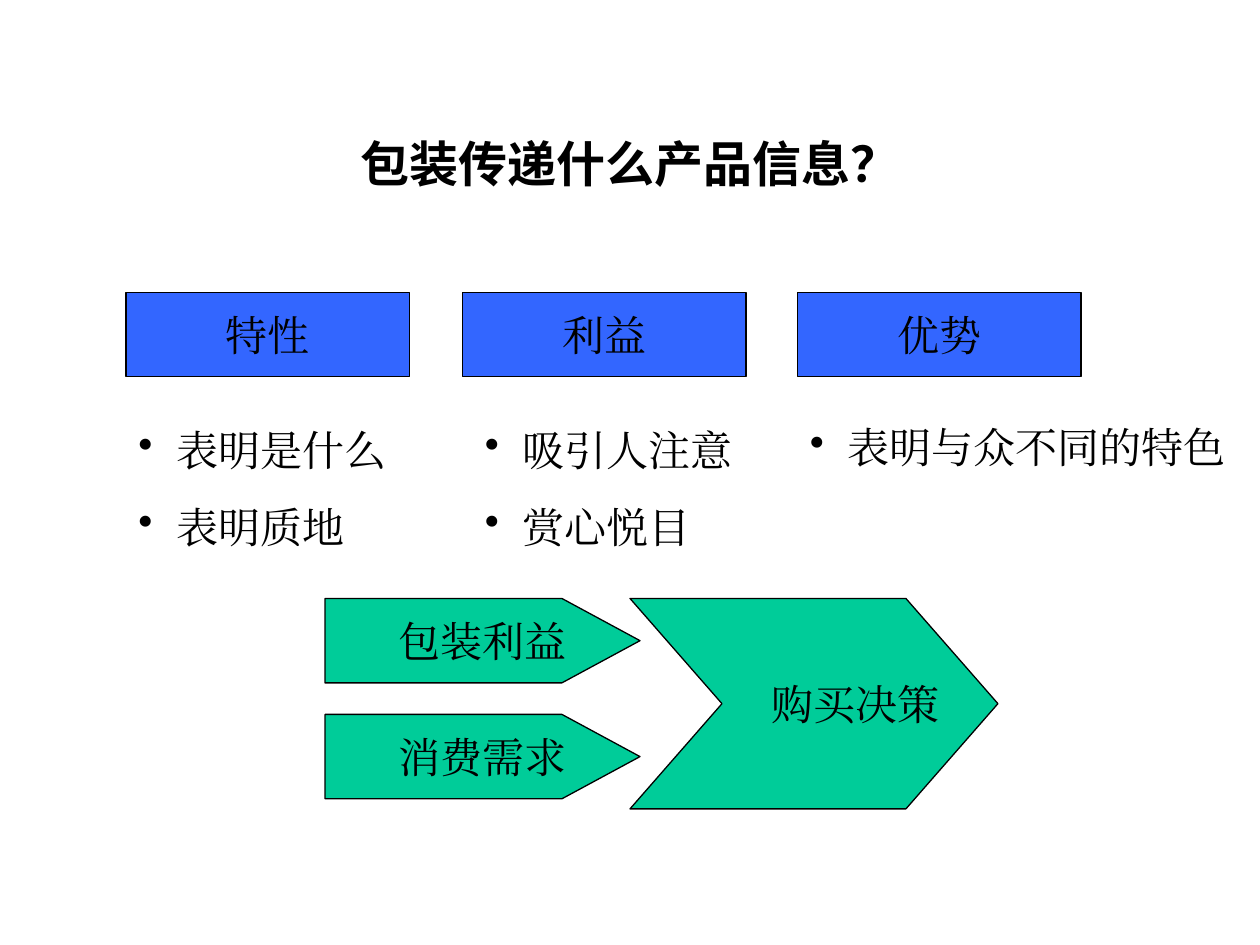
from dataclasses import dataclass

from lxml import etree
from pptx import Presentation
from pptx import util as u
from pptx.dml import color
from pptx.enum import shapes, text
from pptx.oxml import ns

BODY_FONT = "Times New Roman"
TITLE_FONT = "Noto Sans CJK SC"
BLACK, BLUE, GREEN = "000000", "3366FF", "00CC99"
COLUMN_WIDTH, BAR_HEIGHT = 2.25, 0.67
BULLET_INDENT = 0.3


@dataclass
class Column:
    heading: str
    left: float
    points: list[str]
    list_left: float
    list_top: float
    list_width: float = COLUMN_WIDTH


@dataclass
class Arrow:
    label: str
    left: float
    top: float
    width: float
    height: float
    tip: float
    notch: float = 0
    left_inset: float = 0.1


COLUMNS = [
    Column("特性", 1, ["表明是什么", "表明质地"], 1, 3.32),
    Column("利益", 3.67, ["吸引人注意", "赏心悦目"], 3.75, 3.32),
    Column("优势", 6.33, ["表明与众不同的特色"], 6.33, 3.3, 3.58),
]
ARROWS = [
    Arrow("包装利益", 2.58, 4.75, 2.5, BAR_HEIGHT, 0.62),
    Arrow("消费需求", 2.58, 5.67, 2.5, BAR_HEIGHT, 0.62),
    Arrow("购买决策", 5, 4.75, 2.92, 1.67, 0.73, 0.73, 0.75),
]


def rgb(value: str) -> color.RGBColor:
    return color.RGBColor.from_string(value)


def style_paragraph(para, size: float = 24, font: str = BODY_FONT, bold: bool = False) -> None:
    for span in para.runs:
        span.font.size = u.Pt(size)
        span.font.name = font
        span.font.bold = bold
        span.font.color.rgb = rgb(BLACK)
        east_asian = etree.SubElement(span.font._element, ns.qn("a:ea"))
        east_asian.set("typeface", font)


def fill_label(box, label: str, fill: str) -> None:
    box.shadow.inherit = False
    box.fill.solid()
    box.fill.fore_color.rgb = rgb(fill)
    box.line.color.rgb = rgb(BLACK)
    box.line.width = u.Pt(0.75)
    frame = box.text_frame
    frame.text = label
    frame.word_wrap = False
    frame.vertical_anchor = text.MSO_ANCHOR.MIDDLE
    frame.paragraphs[0].alignment = text.PP_ALIGN.CENTER
    style_paragraph(frame.paragraphs[0])


def add_title(page, title: str) -> None:
    box = page.shapes.add_textbox(u.Inches(0.75), u.Inches(0.99), u.Inches(8.5), u.Inches(0.61))
    frame = box.text_frame
    frame.word_wrap = True
    frame.vertical_anchor = text.MSO_ANCHOR.MIDDLE
    frame.text = title
    frame.paragraphs[0].alignment = text.PP_ALIGN.CENTER
    style_paragraph(frame.paragraphs[0], 28, TITLE_FONT, True)


def add_bullet(para) -> None:
    properties = para._p.get_or_add_pPr()
    properties.set("marL", str(u.Inches(BULLET_INDENT)))
    properties.set("indent", str(-u.Inches(BULLET_INDENT)))
    bullet_color = etree.SubElement(properties, ns.qn("a:buClr"))
    etree.SubElement(bullet_color, ns.qn("a:srgbClr")).set("val", BLACK)
    etree.SubElement(properties, ns.qn("a:buChar")).set("char", "•")


def add_column(page, column: Column) -> None:
    heading = page.shapes.add_shape(
        shapes.MSO_SHAPE.RECTANGLE,
        u.Inches(column.left), u.Inches(2.32), u.Inches(COLUMN_WIDTH), u.Inches(BAR_HEIGHT),
    )
    fill_label(heading, column.heading, BLUE)

    height = 0.5 + 0.61 * (len(column.points) - 1)
    box = page.shapes.add_textbox(
        u.Inches(column.list_left), u.Inches(column.list_top),
        u.Inches(column.list_width), u.Inches(height),
    )
    frame = box.text_frame
    frame.word_wrap = True
    frame.text = "\n".join(column.points)
    for index, para in enumerate(frame.paragraphs):
        add_bullet(para)
        if index:
            para.space_before = u.Pt(15)
        style_paragraph(para)


def add_arrow(page, arrow: Arrow) -> None:
    right, bottom = arrow.left + arrow.width, arrow.top + arrow.height
    middle, shoulder = arrow.top + arrow.height / 2, right - arrow.tip
    outline = [
        (shoulder, arrow.top), (right, middle), (shoulder, bottom), (arrow.left, bottom),
    ]
    if arrow.notch:
        outline.append((arrow.left + arrow.notch, middle))
    builder = page.shapes.build_freeform(u.Inches(arrow.left), u.Inches(arrow.top))
    builder.add_line_segments([(u.Inches(x), u.Inches(y)) for x, y in outline], close=True)
    box = builder.convert_to_shape()
    fill_label(box, arrow.label, GREEN)
    box.text_frame.margin_left = u.Inches(arrow.left_inset)


def main() -> None:
    deck = Presentation()
    deck.slide_width, deck.slide_height = u.Inches(10), u.Inches(7.5)
    page = deck.slides.add_slide(deck.slide_layouts[6])
    add_title(page, "包装传递什么产品信息？")
    for column in COLUMNS:
        add_column(page, column)
    for arrow in ARROWS:
        add_arrow(page, arrow)
    deck.save("out.pptx")


if __name__ == "__main__":
    main()
